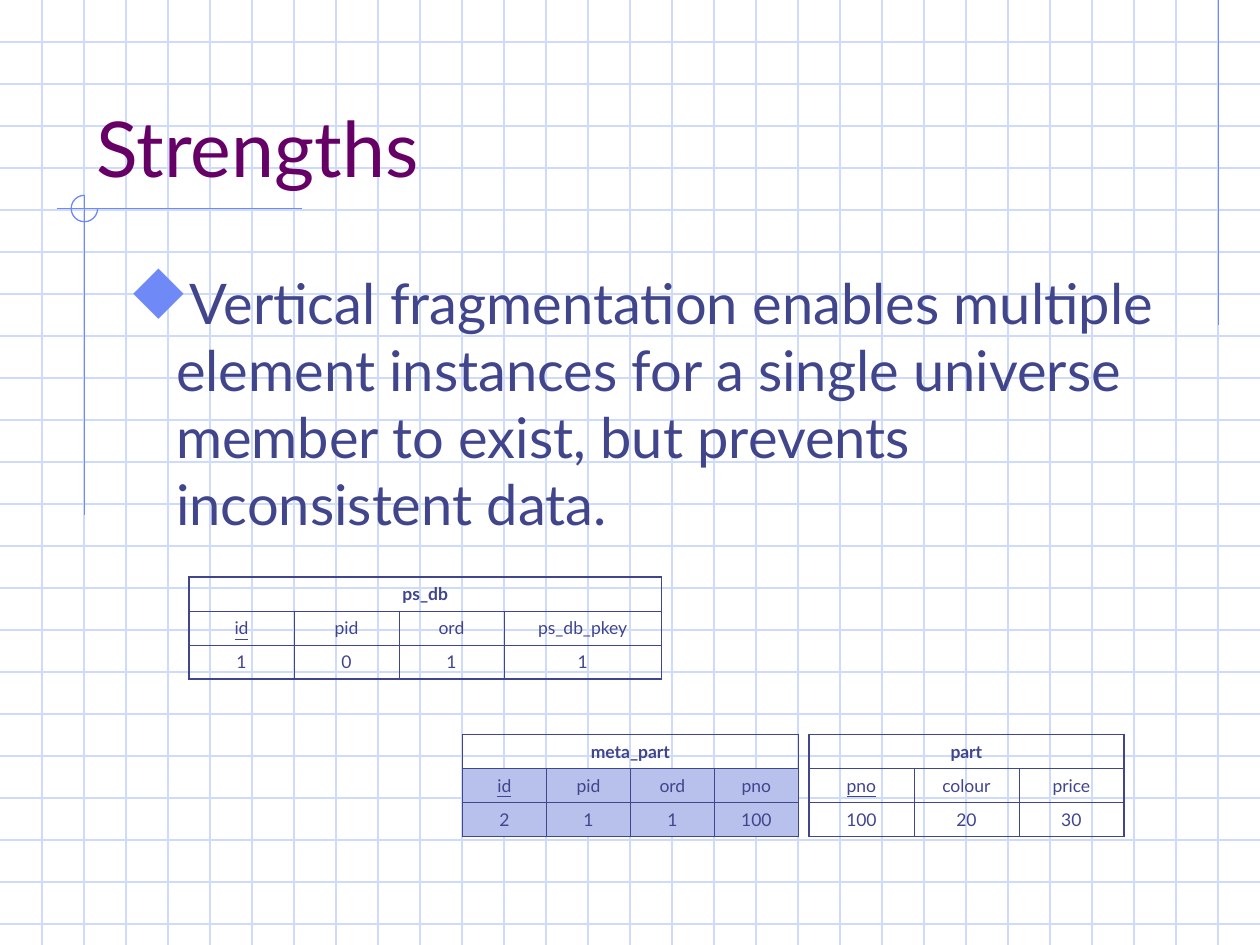
from lxml import etree
from pptx import Presentation
from pptx.dml.color import RGBColor as RGB
from pptx.enum.shapes import MSO_CONNECTOR as CONN, MSO_SHAPE as SHAPE
from pptx.enum.text import MSO_ANCHOR as ANCHOR, PP_ALIGN as ALIGN
from pptx.oxml.ns import qn
from pptx.util import Inches, Pt

COLORS = {"grid": "CFDBFD", "accent": "6F89F7", "title": "660066",
          "ink": "40458C", "shade": "B7C1EB"}
FONT = "Lato"
WIDE, HIGH = 10, 7.5
THICK, THIN = 1.08, 0.45
ROW = 0.27
DIAMOND = "u"  # a solid diamond in Wingdings


def rgb(name):
    return RGB.from_string(COLORS[name])


def style(font, size, color, bold=False):
    font.name, font.size, font.bold = FONT, Pt(size), bold
    font.color.rgb = rgb(color)


def rule(slide, x1, y1, x2, y2, color):
    line = slide.shapes.add_connector(
        CONN.STRAIGHT, Inches(x1), Inches(y1), Inches(x2), Inches(y2))
    line.line.color.rgb = rgb(color)
    line.line.width = Pt(0.75)
    etree.SubElement(line._element.spPr, qn("a:effectLst"))


def add_grid(slide, left, top, width, height):
    # Graph paper, three squares to the inch
    for n in range(1, int(height * 3) + 1):
        y = top + n / 3
        rule(slide, left, y, left + width, y, "grid")
    for n in range(1, int(width * 3)):
        x = left + n / 3
        rule(slide, x, top, x, top + height, "grid")


def add_marks(slide, left, top, width, height):
    # Crossed rules with a three-quarter ring where they meet
    size = 0.21
    x, y = left + 0.22, top + size / 2
    rule(slide, left, y, left + width, y, "accent")
    rule(slide, x, top, x, top + height, "accent")
    ring = slide.shapes.add_shape(
        SHAPE.ARC, Inches(x - size / 2), Inches(top), Inches(size), Inches(size))
    ring.adjustments[0] = 0
    ring.adjustments[1] = 162  # 270 degrees
    ring.fill.background()
    ring.line.color.rgb = rgb("accent")
    ring.line.width = Pt(0.75)
    ring.shadow.inherit = False


def add_bullet(para, char):
    props = para._p.get_or_add_pPr()
    props.set("marL", str(Inches(0.38)))
    props.set("indent", str(Inches(-0.38)))
    tint = etree.SubElement(props, qn("a:buClr"))
    etree.SubElement(tint, qn("a:srgbClr"), val=COLORS["accent"])
    etree.SubElement(props, qn("a:buSzPct"), val="110000")
    etree.SubElement(props, qn("a:buFont"), typeface="Wingdings",
                     pitchFamily="2", charset="2")
    etree.SubElement(props, qn("a:buChar"), char=char)


def add_text(slide, left, top, width, height, text, size, color,
             anchor=ANCHOR.TOP, bullet=None):
    box = slide.shapes.add_textbox(
        Inches(left), Inches(top), Inches(width), Inches(height))
    frame = box.text_frame
    frame.word_wrap = True
    frame.vertical_anchor = anchor
    para = frame.paragraphs[0]
    para.text = text
    if bullet:
        add_bullet(para, bullet)
    style(para.font, size, color)


def add_border(cell, side, width):
    line = etree.SubElement(cell._tc.get_or_add_tcPr(), qn(f"a:ln{side}"),
                            w=str(Pt(width)))
    fill = etree.SubElement(line, qn("a:solidFill"))
    etree.SubElement(fill, qn("a:srgbClr"), val=COLORS["ink"])


def add_relation(slide, left, top, widths, name, fields, values, shade=None):
    # Name across the top, then field names (first is the key) and one tuple
    rows, last = [[name], fields, values], len(widths) - 1
    table = slide.shapes.add_table(
        len(rows), len(widths), Inches(left), Inches(top),
        Inches(sum(widths)), Inches(ROW * len(rows))).table
    table.first_row = table.horz_banding = False
    for col, width in zip(table.columns, widths):
        col.width = Inches(width)
    for r, row in enumerate(rows):
        table.rows[r].height = Inches(ROW)
        for c in range(len(widths)):
            cell = table.cell(r, c)
            edges = {"L": c == 0, "R": c == last or r == 0,
                     "T": r == 0, "B": r == len(rows) - 1}
            for side, outer in edges.items():
                add_border(cell, side, THICK if outer else THIN)
            if shade and r:
                cell.fill.solid()
                cell.fill.fore_color.rgb = rgb(shade)
            else:
                cell.fill.background()
            para = cell.text_frame.paragraphs[0]
            para.text = row[c] if c < len(row) else ""
            para.alignment = ALIGN.CENTER
            style(para.font, 10, "ink", bold=r == 0)
            para.font.underline = r == 1 and c == 0
    table.cell(0, 0).merge(table.cell(0, last))


def main():
    deck = Presentation()
    deck.slide_width, deck.slide_height = Inches(WIDE), Inches(HIGH)
    slide = deck.slides.add_slide(deck.slide_layouts[6])

    # Background
    add_grid(slide, 0, 0, WIDE, HIGH)
    rule(slide, 9.67, 0, 9.67, 2.58, "accent")
    add_marks(slide, 0.45, 1.55, 1.95, 2.54)

    # Title and body
    add_text(slide, 0.67, 0.33, 8.5, 1.25, "Strengths", 44, "title",
             anchor=ANCHOR.BOTTOM)
    add_text(slide, 0.92, 2.08, 8.5, 4.5,
             "Vertical fragmentation enables multiple element instances for a "
             "single universe member to exist, but prevents inconsistent data.",
             32, "ink", bullet=DIAMOND)

    # Relations
    add_relation(slide, 1.5, 4.58, [2.5 / 3] * 3 + [1.25], "ps_db",
                 ["id", "pid", "ord", "ps_db_pkey"], ["1", "0", "1", "1"])
    add_relation(slide, 6.42, 5.83, [2.5 / 3] * 3, "part",
                 ["pno", "colour", "price"], ["100", "20", "30"])
    add_relation(slide, 3.67, 5.83, [2 / 3] * 4, "meta_part",
                 ["id", "pid", "ord", "pno"], ["2", "1", "1", "100"],
                 shade="shade")

    deck.save("out.pptx")


if __name__ == "__main__":
    main()
